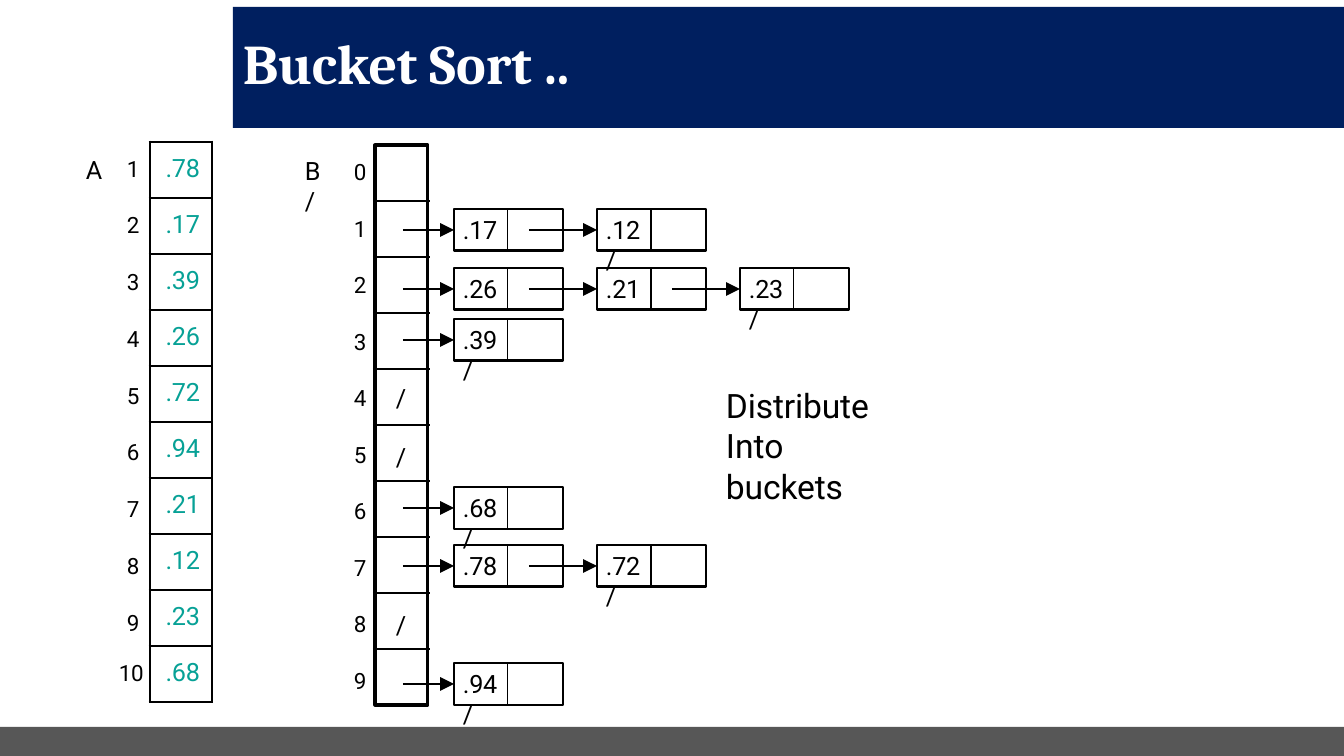
import lxml.etree
import pptx
import pptx.dml.color
import pptx.enum.shapes
import pptx.enum.text
import pptx.oxml.ns
import pptx.util

PX = 914400 / 100.8
BLACK, WHITE, NAVY, GREY, TEAL = "000000", "FFFFFF", "001F5F", "575757", "07A196"
UNSORTED = [".78", ".17", ".39", ".26", ".72", ".94", ".21", ".12", ".23", ".68"]
CHAINS = [  # top of the chain, values in it
    (209, [".17", ".12"]),
    (268, [".26", ".21", ".23"]),
    (319, [".39"]),
    (487, [".68"]),
    (545, [".78", ".72"]),
    (663, [".94"]),
]
EMPTY_BUCKET_TOPS = [380, 439, 607]
ROW = 56
NODE_LEFT, NODE_PITCH, NODE_WIDTH, NODE_HEIGHT = 454, 143, 109, 42


def px(length):
    return pptx.util.Emu(round(length * PX))


def rgb(code):
    return pptx.dml.color.RGBColor.from_string(code)


def add_xml(parent, tag, **attributes):
    return lxml.etree.SubElement(parent, pptx.oxml.ns.qn(tag), attributes)


def add_run(paragraph, text, size, color=BLACK, spacing=0, font="Roboto", bold=False):
    """Spacing is in hundredths of a point."""
    run = paragraph.add_run()
    run.text = text
    run.font.size = pptx.util.Pt(size)
    run.font.name = font
    run.font.bold = bold
    run.font.color.rgb = rgb(color)
    run.font._element.set("spc", str(spacing))


def add_label(slide, left, top, width, height, runs, tabs=(), inset=2):
    """Each run is a tuple of the arguments that add_run takes after the paragraph."""
    box = slide.shapes.add_textbox(px(left), px(top), px(width), px(height))
    frame = box.text_frame
    frame.word_wrap = True
    frame.auto_size = pptx.enum.text.MSO_AUTO_SIZE.SHAPE_TO_FIT_TEXT
    frame.margin_left = frame.margin_right = frame.margin_bottom = 0
    frame.margin_top = px(inset)
    paragraph = frame.paragraphs[0]
    properties = paragraph._p.get_or_add_pPr()
    properties.set("marL", str(px(1)))
    if tabs:
        stops = add_xml(properties, "a:tabLst")
        for stop in tabs:
            add_xml(stops, "a:tab", pos=str(px(stop)), algn="l")
    for run in runs:
        add_run(paragraph, *run)


def add_rectangle(slide, left, top, width, height, fill=None, line_width=None):
    rectangle = slide.shapes.add_shape(
        pptx.enum.shapes.MSO_SHAPE.RECTANGLE, px(left), px(top), px(width), px(height))
    rectangle.shadow.inherit = False
    if fill:
        rectangle.fill.solid()
        rectangle.fill.fore_color.rgb = rgb(fill)
    else:
        rectangle.fill.background()
    if line_width:
        rectangle.line.color.rgb = rgb(BLACK)
        rectangle.line.width = pptx.util.Pt(line_width)
    else:
        rectangle.line.fill.background()
    return rectangle


def add_line(slide, x1, y1, x2, y2, width):
    line = slide.shapes.add_connector(
        pptx.enum.shapes.MSO_CONNECTOR.STRAIGHT, px(x1), px(y1), px(x2), px(y2))
    line.line.color.rgb = rgb(BLACK)
    line.line.width = pptx.util.Pt(width)
    add_xml(line._element.spPr, "a:effectLst")
    return line


def add_pointer(slide, start, y, node_left, node):
    pointer = add_line(slide, start, y, node_left, y, 1.25)
    pointer.end_connect(node, 1)
    add_xml(pointer.line._get_or_add_ln(), "a:tailEnd", type="triangle", w="lg", len="lg")


def add_cell_borders(cell, widths):
    properties = cell._tc.get_or_add_tcPr()
    for position, (side, width) in enumerate(widths.items()):
        border = lxml.etree.Element(
            pptx.oxml.ns.qn("a:" + side), {"w": str(pptx.util.Pt(width))})
        add_xml(add_xml(border, "a:solidFill"), "a:srgbClr", val=BLACK)
        properties.insert(position, border)


def add_input_array(slide):
    count = len(UNSORTED)
    table = slide.shapes.add_table(
        count, 1, px(150), px(142), px(62), px(ROW * count)).table
    table.first_row = table.horz_banding = False
    table.columns[0].width = px(62)
    for i, value in enumerate(UNSORTED):
        table.rows[i].height = px(ROW)
        cell = table.cell(i, 0)
        cell.fill.background()
        cell.margin_left = cell.margin_bottom = 0
        cell.margin_top = cell.margin_right = px(12)
        paragraph = cell.text_frame.paragraphs[0]
        paragraph.alignment = pptx.enum.text.PP_ALIGN.RIGHT
        add_run(paragraph, value, 18, TEAL, -20)
        add_cell_borders(cell, {
            "lnL": 2.25, "lnR": 2.25,
            "lnT": 2.25 if i == 0 else 1,
            "lnB": 2.25 if i == count - 1 else 1})
    add_label(slide, 85, 152, 20, 33, [("A", 18)])
    for i in range(count - 1):
        add_label(slide, 126, 153 + 227 * i // 4, 15, 29, [(str(i + 1), 16, BLACK, -10)])
    add_label(slide, 118, 657, 28, 29, [("10", 16, BLACK, -20)])


def add_bucket_array(slide):
    for i in range(9):
        y = 201 + ROW * i
        add_line(slide, 373, y, 430, y, 1)
    add_rectangle(slide, 375, 145, 53, 560, line_width=2.25)
    add_label(slide, 304, 153, 100, 33,
              [("B\t", 18, BLACK, -50), ("0\t", 16, BLACK, -50), ("/", 18, BLACK, -50)],
              tabs=(49, 92))
    for i in range(1, 10):
        add_label(slide, 353, 213 + 113 * (i - 1) // 2, 15, 29, [(str(i), 16, BLACK, -10)])
    for top in EMPTY_BUCKET_TOPS:
        add_label(slide, 395, top, 10, 33, [("/", 18)])


def add_chain(slide, top, values):
    middle = top + NODE_HEIGHT // 2
    pointer_start = 403
    for i, value in enumerate(values):
        left = NODE_LEFT + NODE_PITCH * i
        node = add_rectangle(slide, left, top, NODE_WIDTH, NODE_HEIGHT, line_width=2)
        add_line(slide, left + 54, top, left + 54, top + NODE_HEIGHT, 0.75)
        add_pointer(slide, pointer_start, middle, left, node)
        pointer_start = left + 75
        if i == len(values) - 1:
            add_label(slide, left + 8, top + 3, 72, 33,
                      [(value + "\t", 18, BLACK, -20), ("/", 18, BLACK, -50)], tabs=(64,))
        else:
            add_label(slide, left + 8, top + 3, 38, 33, [(value, 18, BLACK, -20)])


def main():
    deck = pptx.Presentation()
    deck.slide_width, deck.slide_height = px(1344), px(756)
    slide = deck.slides.add_slide(deck.slide_layouts[6])
    add_rectangle(slide, 0, 727, 1344, 29, fill=GREY)
    add_rectangle(slide, 233, 7, 1111, 121, fill=NAVY)
    add_label(slide, 242, 3, 587, 94, [
        ("Bucket ", 40, WHITE, -20, "Cambria", True),
        ("Sort ", 40, WHITE, 0, "Cambria", True),
        ("..", 40, WHITE, -20, "Cambria", True)], inset=25)
    add_input_array(slide)
    add_bucket_array(slide)
    for top, values in CHAINS:
        add_chain(slide, top, values)
    add_label(slide, 725, 383, 178, 84, [
        ("Distribute ", 24, BLACK, -10), ("Into ", 24), ("buckets", 24, BLACK, -10)])
    deck.save("out.pptx")


if __name__ == "__main__":
    main()
